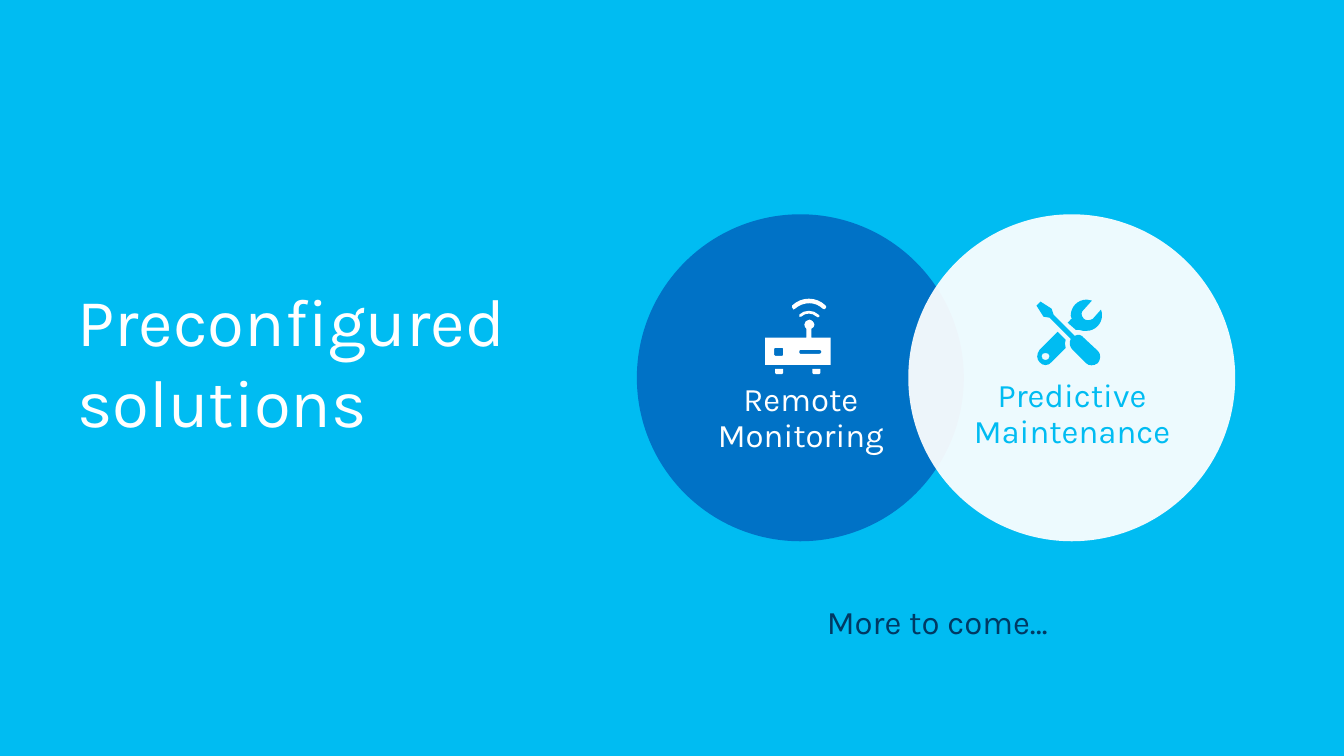
from lxml import etree
from pptx import Presentation
from pptx.dml.color import RGBColor
from pptx.enum.shapes import MSO_SHAPE
from pptx.enum.text import MSO_ANCHOR, PP_ALIGN
from pptx.oxml.ns import qn
from pptx.util import Cm, Pt

OVAL = MSO_SHAPE.OVAL
LEFT, CENTER = PP_ALIGN.LEFT, PP_ALIGN.CENTER
TOP = MSO_ANCHOR.TOP

FONT = "Karla"
COLORS = {"sky": "00BCF2", "blue": "0072C6", "white": "FFFFFF", "navy": "003963"}
LABEL_SIZE = 23.5
CIRCLE_TOP, DIAMETER = 5.4, 8.24
ICON_UNIT = 0.0254  # cm per step of the icon grid

# Icon outlines on a grid: M starts a contour, L adds corners, C adds a Bézier curve
ROUTER = [
    "M 47 72 L 55 72 55 76 C 55 77 55 77 54 77 L 48 77 C 47 77 47 77 47 76 "
    "M 10 72 L 18 72 18 76 C 18 77 18 77 17 77 L 11 77 C 10 77 10 77 10 76 "
    "M 35 53 C 35 53 34 54 34 54 L 34 55 34 56 C 34 56 35 57 35 57 L 54 57 "
    "C 55 57 56 56 56 55 L 56 55 C 56 54 55 53 54 53 "
    "M 10 51 C 9 51 9 51 9 52 L 9 58 C 9 59 9 59 10 59 L 16 59 "
    "C 17 59 18 59 18 58 L 18 52 C 18 51 17 51 16 51 "
    "M 44 23 C 46 23 49 26 49 28 C 49 30 48 31 46 32 L 46 32 46 41 65 41 65 68 0 68 "
    "0 41 41 41 41 32 41 32 C 40 31 39 30 39 28 C 39 26 41 23 44 23",
    "M 27 10 C 27 11 26 11 27 11 C 27 13 29 14 30 12 C 38 5 50 5 57 12 "
    "C 58 13 60 13 60 12 C 61 11 61 10 60 9 C 51 0 36 0 27 9 C 27 9 27 10 27 10",
    "M 34 19 C 33 20 35 21 36 20 C 40 16 47 16 51 20 C 52 21 53 21 54 20 "
    "C 54 20 54 18 53 18 C 48 13 39 13 34 18 C 34 18 34 19 34 19 C 34 19 34 19 34 19",
]
TOOLS = [
    "M 9 53 C 7 53 5 54 5 56 C 5 59 7 60 9 60 C 11 60 13 59 13 56 C 13 54 11 53 9 53 "
    "M 21 32 L 29 40 C 28 42 28 45 29 48 L 15 62 C 12 66 6 66 3 62 L 3 62 3 62 3 62 "
    "C 0 59 0 54 3 50 "
    "M 4 2 L 15 9 17 15 17 15 38 36 C 41 34 45 35 47 38 L 61 51 C 64 54 64 59 61 63 "
    "C 57 66 52 66 49 63 L 36 50 C 33 47 32 43 34 39 L 13 18 7 17 0 6 "
    "M 50 0 C 52 0 53 1 55 1 L 47 10 C 44 12 44 16 47 19 C 49 21 53 21 56 19 "
    "L 64 10 C 65 12 65 14 65 16 C 65 24 58 31 50 31 C 49 31 47 31 46 31 "
    "C 44 30 41 30 39 30 L 31 23 33 21 C 33 20 34 20 35 19 C 34 18 34 17 34 16 "
    "C 34 7 41 0 50 0",
]

# Positions in cm
SOLUTIONS = [
    {"lines": ["Remote", "Monitoring"], "circle_left": 16.05, "fill": "blue", "opacity": 100,
     "ink": "white", "label_box": (16.92, 9.53, 6.53, 2.06),
     "icon": ROUTER, "icon_at": (19.28, 7.47)},
    {"lines": ["Predictive", "Maintenance"], "circle_left": 22.89, "fill": "white", "opacity": 93,
     "ink": "sky", "label_box": (24.06, 9.43, 5.92, 2.06),
     "icon": TOOLS, "icon_at": (26.12, 7.55)},
]
MORE = {"lines": ["More to come…"], "box": (20.4, 15.16, 6.45, 1.17)}
TITLE = {"lines": ["Preconfigured solutions"], "box": (0.86, 6.92, 13.82, 8.51)}


def rgb(name):
    return RGBColor.from_string(COLORS[name])


def paint(shape, color, opacity=100):
    shape.shadow.inherit = False
    shape.fill.solid()
    shape.fill.fore_color.rgb = rgb(color)
    shape.line.fill.background()
    if opacity < 100:
        tint = shape.fill._xPr.find(f"{qn('a:solidFill')}/{qn('a:srgbClr')}")
        etree.SubElement(tint, qn("a:alpha"), val=str(opacity * 1000))


def add_text(shapes, lines, box, color, size=LABEL_SIZE, align=CENTER, spacing=0.9,
             inset=0.25, after=0):
    frame = shapes.add_textbox(*map(Cm, box)).text_frame
    frame.word_wrap = True
    frame.vertical_anchor = TOP
    frame.margin_left = Cm(inset)
    for index, line in enumerate(lines):
        paragraph = frame.add_paragraph() if index else frame.paragraphs[0]
        paragraph.alignment = align
        paragraph.line_spacing = spacing
        paragraph.space_after = Pt(after)
        run = paragraph.add_run()
        run.text = line
        run.font.name = FONT
        run.font.size = Pt(size)
        run.font.color.rgb = rgb(color)


def place(corner, numbers):
    """Turn grid numbers into slide points, measured from the icon's corner."""
    left, top = corner
    return [(Cm(left + x * ICON_UNIT), Cm(top + y * ICON_UNIT))
            for x, y in zip(numbers[::2], numbers[1::2])]


def bend(shape, kinds):
    """Join the three line steps of each curve into one Bézier step."""
    steps = iter(list(shape._element.iter(qn("a:lnTo"))))
    for kind in kinds:
        step = next(steps)
        if kind == "C":
            step.addprevious(curve := etree.Element(qn("a:cubicBezTo")))
            for control in (step, next(steps), next(steps)):
                curve.append(control[0])
                control.getparent().remove(control)


def add_icon(shapes, outlines, corner, color):
    for outline in outlines:
        builder, kinds = None, []
        for contour in outline.split("M")[1:]:
            start, *segments = contour.replace("L", "|L").replace("C", "|C").split("|")
            [first] = place(corner, [int(number) for number in start.split()])
            if builder is None:
                builder = shapes.build_freeform(*first)
            else:
                builder.move_to(*first)
            points = []
            for segment in segments:
                added = place(corner, [int(number) for number in segment[1:].split()])
                points += added
                kinds += ["C"] if segment[0] == "C" else ["L"] * len(added)
            builder.add_line_segments(points, close=True)
        shape = builder.convert_to_shape()
        bend(shape, kinds)
        paint(shape, color)


def add_solution(slide, solution):
    shapes = slide.shapes.add_group_shape().shapes
    circle = shapes.add_shape(OVAL, Cm(solution["circle_left"]), Cm(CIRCLE_TOP),
                              Cm(DIAMETER), Cm(DIAMETER))
    paint(circle, solution["fill"], solution["opacity"])
    add_text(shapes, solution["lines"], solution["label_box"], solution["ink"])
    add_icon(shapes, solution["icon"], solution["icon_at"], solution["ink"])


def main():
    presentation = Presentation()
    presentation.slide_width, presentation.slide_height = Cm(33.87), Cm(19.05)
    slide = presentation.slides.add_slide(presentation.slide_layouts[6])
    slide.background.fill.solid()
    slide.background.fill.fore_color.rgb = rgb("sky")
    for solution in SOLUTIONS:
        add_solution(slide, solution)
    add_text(slide.shapes, MORE["lines"], MORE["box"], "navy")
    add_text(slide.shapes, TITLE["lines"], TITLE["box"], "white",
             size=48, align=LEFT, spacing=1.0, inset=1.09, after=5.9)
    presentation.save("out.pptx")


if __name__ == "__main__":
    main()
